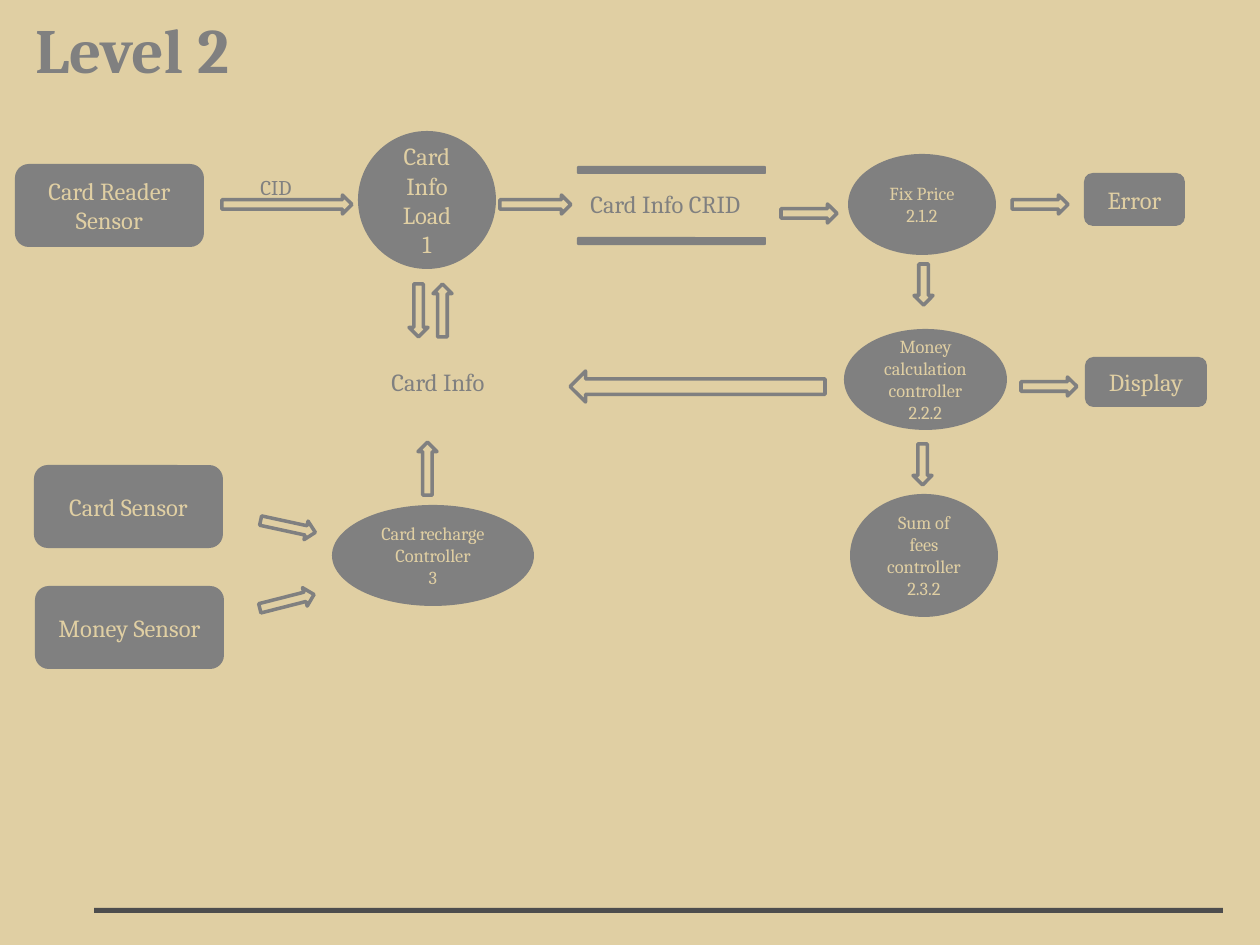
import pptx
import pptx.dml.color
import pptx.enum.shapes
import pptx.enum.text
import pptx.util

SHAPE = pptx.enum.shapes.MSO_SHAPE
ALIGN = pptx.enum.text.PP_ALIGN
ANCHOR = pptx.enum.text.MSO_ANCHOR
AUTO = pptx.enum.text.MSO_AUTO_SIZE
PX = 914400 / 126

SAND, GRAY, DARK = "E0CFA3", "808080", "4D4D4D"


def px(n):
    return pptx.util.Emu(round(n * PX))


def color(value):
    return pptx.dml.color.RGBColor.from_string(value)


class Diagram:
    font = "Cambria"

    def __init__(self, slide):
        self.s = slide
        slide.background.fill.solid()
        slide.background.fill.fore_color.rgb = color(SAND)

    def set_text(self, tf, text, size, ink, align, bold=False):
        tf.word_wrap = True
        style = {"name": self.font, "size": pptx.util.Pt(size), "bold": bold}
        for i, line in enumerate(text.split("\n")):
            p = tf.paragraphs[0] if i == 0 else tf.add_paragraph()
            p.alignment = align
            r = p.add_run()
            r.text = line
            for key, value in style.items():
                setattr(r.font, key, value)
            r.font.color.rgb = color(ink)

    def shape(self, kind, box, fill=GRAY):
        sp = self.s.shapes.add_shape(kind, *map(px, box))
        sp.shadow.inherit = False
        sp.fill.solid()
        sp.fill.fore_color.rgb = color(fill)
        sp.line.fill.background()
        return sp

    def node(self, kind, box, text, size):
        sp = self.shape(kind, box)
        sp.text_frame.vertical_anchor = ANCHOR.MIDDLE
        self.set_text(sp.text_frame, text, size, SAND, ALIGN.CENTER)

    def entity(self, box, text):
        self.node(SHAPE.ROUNDED_RECTANGLE, box, text, 14)

    def process(self, box, text, size=10.5):
        self.node(SHAPE.OVAL, box, text, size)

    def arrow(self, x, y, length, angle=0, height=19):
        sp = self.shape(SHAPE.RIGHT_ARROW, (x, y, length, height))
        sp.fill.background()
        sp.line.color.rgb = color(GRAY)
        sp.line.width = pptx.util.Pt(2)
        sp.rotation = angle

    def label(self, box, text, size, align=ALIGN.LEFT, bold=False):
        tf = self.s.shapes.add_textbox(*map(px, box)).text_frame
        self.set_text(tf, text, size, GRAY, align, bold)
        tf.auto_size = AUTO.SHAPE_TO_FIT_TEXT


def main():
    prs = pptx.Presentation()
    prs.slide_width, prs.slide_height = px(1260), px(945)
    d = Diagram(prs.slides.add_slide(prs.slide_layouts[6]))

    # Footer rule and title
    d.shape(SHAPE.RECTANGLE, (94, 908, 1129, 5), DARK)
    d.label((-3, 4, 270, 89), "Level 2", 36, ALIGN.CENTER, True)

    # Sensors and outputs
    for box, text in [
        ((15, 164, 189, 83), "Card Reader\nSensor"),
        ((34, 465, 189, 83), "Card Sensor"),
        ((35, 586, 189, 83), "Money Sensor"),
        ((1084, 173, 101, 53), "Error"),
        ((1085, 357, 122, 50), "Display"),
    ]:
        d.entity(box, text)

    # Processes
    d.process((358, 131, 138, 138), "Card\nInfo\nLoad\n1", 14)
    for box, text in [
        ((848, 154, 148, 101), "Fix Price\n2.1.2"),
        ((844, 329, 163, 101), "Money calculation controller\n2.2.2"),
        ((850, 494, 148, 123), "Sum of fees controller\n2.3.2"),
        ((332, 505, 202, 101), "Card recharge\nController\n3"),
    ]:
        d.process(box, text)

    # Data stores and flow label
    for y in (166, 237):
        d.shape(SHAPE.ROUNDED_RECTANGLE, (577, y, 189, 8))
    d.label((578, 183, 199, 43), "Card Info CRID", 14)
    d.label((379, 361, 125, 43), "Card Info", 14)
    d.label((248, 168, 63, 38), "CID", 12)

    # Flows: left, top, length, angle
    for flow in [
        (222, 195, 130, 0), (500, 195, 71, 0), (781, 204, 56, 0),
        (1012, 195, 56, 0), (1021, 377, 56, 0),
        (392, 301, 53, 90), (416, 301, 53, 270), (401, 459, 53, 270),
        (903, 275, 41, 90), (902, 455, 41, 90),
        (260, 517, 56, 12.2), (259, 592, 56, 345.7),
    ]:
        d.arrow(*flow)
    d.arrow(570, 371, 255, 180, 31)

    prs.save("out.pptx")


if __name__ == "__main__":
    main()
